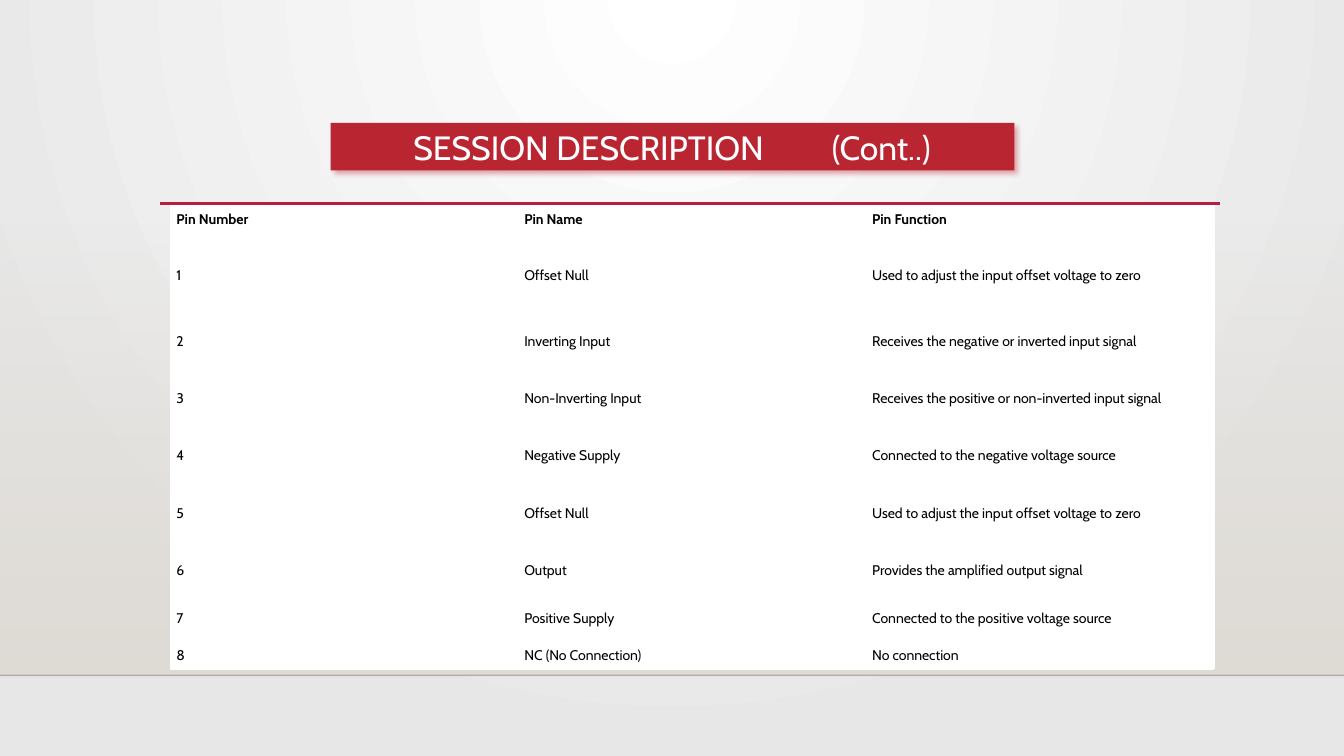
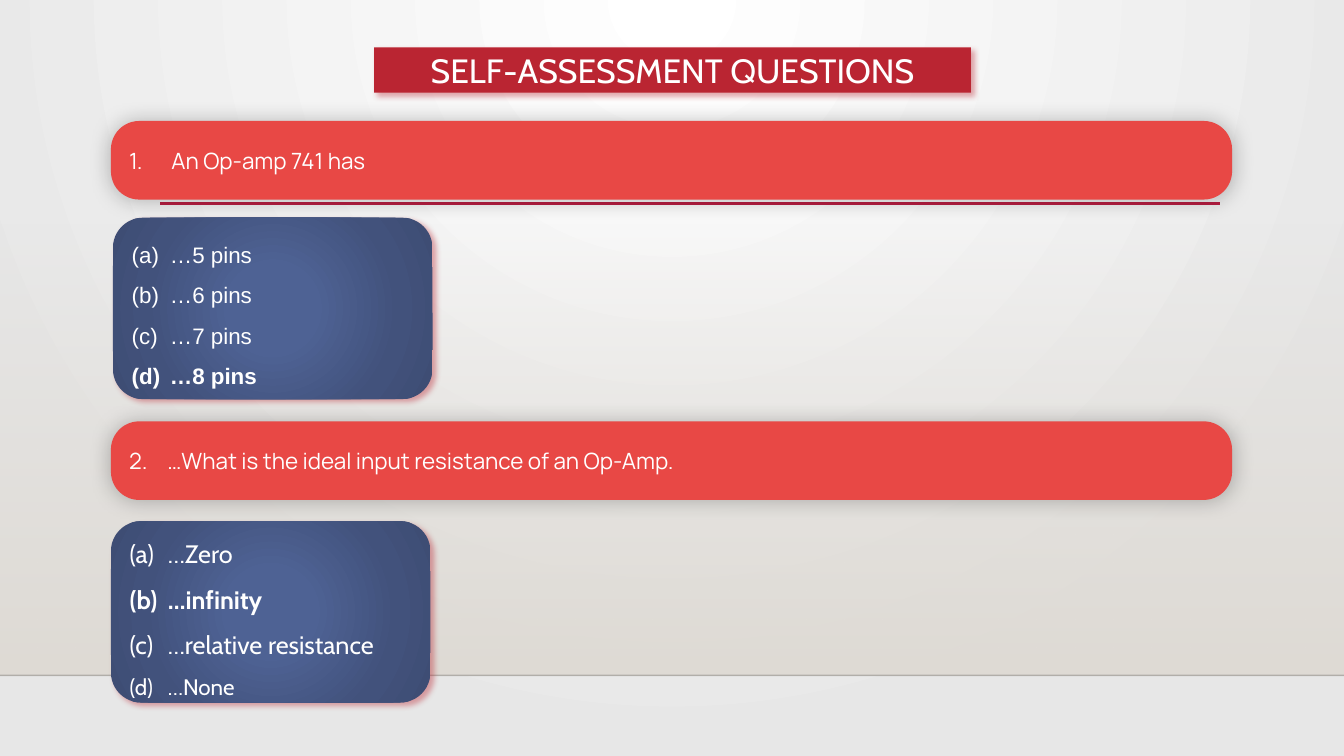
"""Builds an op-amp pin table slide and a self-assessment slide."""
from itertools import count

from lxml import etree
from pptx import Presentation
from pptx.dml.color import RGBColor
from pptx.enum import shapes, text
from pptx.oxml.ns import nsdecls, qn
from pptx.util import Inches, Pt

WHITE = RGBColor(0xFF, 0xFF, 0xFF)
BLACK = RGBColor(0x00, 0x00, 0x00)
SILVER = RGBColor(0xE7, 0xE7, 0xE7)
SAND = RGBColor(0xDF, 0xDB, 0xD5)
FLOOR = RGBColor(0x00, 0x00, 0x01)
RULE = RGBColor(0xB7, 0x1E, 0x42)
CRIMSON = RGBColor(0xBA, 0x25, 0x32)
CORAL = RGBColor(0xE8, 0x48, 0x45)
BLUE = RGBColor(0x4E, 0x62, 0x94)
STEEL = RGBColor(0x42, 0x52, 0x7C)
NAVY = RGBColor(0x3E, 0x4D, 0x74)

SLIDE_WIDTH, SLIDE_HEIGHT = 13.33, 7.5
FLOOR_TOP = 6.7
RED_SHADOW = (CRIMSON, 40, 4, 3, 45)
GREY_SHADOW = (BLACK, 25, 15, 0, 0)
BACKDROP_STOPS = [(0, WHITE, 100), (100, SILVER, 100)]
BAND_STOPS = [(0, SAND, 0), (100, SAND, 100)]
ANSWER_STOPS = [(0, BLUE, 100), (23, BLUE, 100), (69, STEEL, 100), (97, NAVY, 100)]

TITLE_FONT = {"name": "Cabin", "size": Pt(24), "bold": False}
CELL_FONT = {"name": "Cabin", "size": Pt(10)}
QUESTION_FONT = {"name": "Manrope", "size": Pt(16), "bold": False}
CELL_FORMAT = {"vertical_anchor": text.MSO_ANCHOR.MIDDLE,
               "margin_left": Inches(0.06), "margin_right": Inches(0.06),
               "margin_top": Inches(0.03), "margin_bottom": Inches(0.03)}
FRAME_FORMAT = {"word_wrap": True, "auto_size": text.MSO_AUTO_SIZE.NONE,
                "vertical_anchor": text.MSO_ANCHOR.MIDDLE,
                "margin_left": Inches(0.1), "margin_right": Inches(0.1),
                "margin_top": Inches(0.05), "margin_bottom": Inches(0.05)}

PIN_TITLE = "SESSION DESCRIPTION\t(Cont..)"
PIN_TITLE_BOX = (3.28, 1.22, 6.78, 0.47)
PIN_TITLE_START, PIN_TITLE_TAB = 0.82, 4.15
PIN_ROWS = [
    ("Pin Number", "Pin Name", "Pin Function"),
    ("1", "Offset Null", "Used to adjust the input offset voltage to zero"),
    ("2", "Inverting Input", "Receives the negative or inverted input signal"),
    ("3", "Non-Inverting Input", "Receives the positive or non-inverted input signal"),
    ("4", "Negative Supply", "Connected to the negative voltage source"),
    ("5", "Offset Null", "Used to adjust the input offset voltage to zero"),
    ("6", "Output", "Provides the amplified output signal"),
    ("7", "Positive Supply", "Connected to the positive voltage source"),
    ("8", "NC (No Connection)", "No connection"),
]
ROW_HEIGHTS = [0.27, 0.84, 0.47, 0.67, 0.47, 0.67, 0.47, 0.47, 0.27]
TABLE_LEFT, TABLE_TOP, COLUMN_WIDTH = 1.69, 2.04, 3.45

QUIZ_TITLE = "SELF-ASSESSMENT QUESTIONS"
QUIZ_TITLE_BOX = (3.71, 0.47, 5.92, 0.45)
QUESTION_LEFT, QUESTION_SIZE, ANSWER_SIZE = 1.1, (11.12, 0.78), (3.17, 1.8)
QUESTIONS = [
    {"text": "An Op-amp 741 has", "top": 1.2, "indent": 0.42,
     "answer_at": (1.12, 2.16), "font": "Arial", "correct": 3,
     "answers": [("…5 pins", 16), ("…6 pins", 16), ("…7 pins", 16), ("…8 pins", 16)]},
    {"text": "…What is the ideal input resistance of an Op-Amp.", "top": 4.18, "indent": 0.38,
     "answer_at": (1.1, 5.17), "font": "Cabin", "correct": 1,
     "answers": [("…Zero", 18), ("…infinity", 18), ("…relative resistance", 18), ("…None", 16)]},
]


def set_values(target, values):
    """Set attributes from a dict."""
    for name, value in values.items():
        setattr(target, name, value)


def set_font(font, values, color):
    """Format a font and colour it."""
    set_values(font, values)
    font.color.rgb = color


def add_child(parent, tag, **attributes):
    """Append a drawing element with attributes."""
    child = etree.SubElement(parent, qn(tag))
    for name, value in attributes.items():
        child.set(name, str(value))
    return child


def add_color(parent, color, opacity=100):
    """Append a colour with its opacity in percent."""
    add_child(add_child(parent, "a:srgbClr", val=color), "a:alpha", val=opacity * 1000)


def set_gradient(properties, stops, center=None):
    """Swap the solid fill for a downward or circular gradient."""
    gradient = etree.fromstring(f'<a:gradFill {nsdecls("a")} rotWithShape="1"/>')
    stop_list = add_child(gradient, "a:gsLst")
    for position, color, opacity in stops:
        add_color(add_child(stop_list, "a:gs", pos=position * 1000), color, opacity)
    if center:
        circle = add_child(gradient, "a:path", path="circle")
        edges = {side: share * 1000 for side, share in zip("ltrb", center)}
        add_child(circle, "a:fillToRect", **edges)
    else:
        add_child(gradient, "a:lin", ang=90 * 60000, scaled=0)
    properties.replace(properties.find(qn("a:solidFill")), gradient)


def set_surface(shape, color, shadow=None):
    """Give a shape a plain fill, no outline and an optional shadow."""
    shape.fill.solid()
    shape.fill.fore_color.rgb = color
    shape.line.fill.background()
    shape.shadow.inherit = False
    if shadow:
        shadow_color, opacity, blur, distance, angle = shadow
        effects = shape.element.spPr.find(qn("a:effectLst"))
        outer = add_child(effects, "a:outerShdw", blurRad=Pt(blur), dist=Pt(distance),
                          dir=angle * 60000, algn="ctr", rotWithShape=0)
        add_color(outer, shadow_color, opacity)


def add_box(slide, kind, box, color, shadow=None):
    """Add a filled preset shape."""
    shape = slide.shapes.add_shape(kind, *map(Inches, box))
    set_surface(shape, color, shadow)
    return shape


def add_rule(slide, left, right, top, color, width, opacity=100):
    """Add a horizontal line."""
    line = slide.shapes.add_connector(shapes.MSO_CONNECTOR.STRAIGHT,
                                      *map(Inches, (left, top, right, top)))
    line.line.color.rgb = color
    line.line.width = Pt(width)
    for color_element in line.element.spPr.iter(qn("a:srgbClr")):
        add_child(color_element, "a:alpha", val=opacity * 1000)
    add_child(line.element.spPr, "a:effectLst")
    return line


def style_master(presentation, slide):
    """Put the backdrop, floor band and rules on the slide master."""
    master = presentation.slide_master
    master.background.fill.solid()
    master.background.fill.fore_color.rgb = WHITE
    set_gradient(next(master.element.iter(qn("p:bgPr"))), BACKDROP_STOPS, (43, 0, 43, 100))
    band = add_box(slide, shapes.MSO_SHAPE.RECTANGLE,
                   (0, 2.21, SLIDE_WIDTH, FLOOR_TOP - 2.21), SAND)
    set_gradient(band.element.spPr, BAND_STOPS)
    floor_line = add_rule(slide, 0, SLIDE_WIDTH, FLOOR_TOP, FLOOR, 1, 20)
    title_rule = add_rule(slide, 1.59, 12.1, 2.02, RULE, 2.5)
    for part, number in zip((band, floor_line, title_rule), count(101)):
        next(part.element.iter(qn("p:cNvPr"))).set("id", str(number))
        master.shapes.element.append(part.element)


def set_title(slide, wording, box):
    """Shape the title placeholder as a red banner."""
    title = slide.shapes.title
    set_values(title, dict(zip(("left", "top", "width", "height"), map(Inches, box))))
    geometry = add_child(title.element.spPr, "a:prstGeom", prst="roundRect")
    add_child(geometry, "a:avLst")
    set_surface(title, CRIMSON, RED_SHADOW)
    set_values(title.text_frame, FRAME_FORMAT)
    title.text_frame.text = wording
    paragraph = title.text_frame.paragraphs[0]
    paragraph.alignment = text.PP_ALIGN.CENTER
    if "\t" in wording:
        paragraph.alignment = text.PP_ALIGN.LEFT
        title.text_frame.margin_left = Inches(PIN_TITLE_START)
        tabs = add_child(paragraph._p.get_or_add_pPr(), "a:tabLst")
        add_child(tabs, "a:tab", pos=Inches(PIN_TITLE_TAB), algn="l")
    set_font(paragraph.font, TITLE_FONT, WHITE)
    for run in paragraph.runs:
        set_font(run.font, TITLE_FONT, WHITE)


def add_numbered(paragraph, wording, font, scheme, start, indent=0.38, spacing=1):
    """Fill a paragraph as an automatically numbered item."""
    paragraph.alignment = text.PP_ALIGN.LEFT
    paragraph.line_spacing = spacing
    properties = paragraph._p.get_or_add_pPr()
    properties.set("marL", str(Inches(indent)))
    properties.set("indent", str(-Inches(indent)))
    add_child(properties, "a:buFont", typeface="+mj-lt")
    add_child(properties, "a:buAutoNum", type=scheme, startAt=start)
    run = paragraph.add_run()
    run.text = wording
    set_font(run.font, font, WHITE)


def add_pin_table(slide):
    """Add the pin table with white cells and borders."""
    table = slide.shapes.add_table(
        len(PIN_ROWS), len(PIN_ROWS[0]), Inches(TABLE_LEFT), Inches(TABLE_TOP),
        Inches(COLUMN_WIDTH * len(PIN_ROWS[0])), Inches(sum(ROW_HEIGHTS))).table
    set_values(table, {"first_row": False, "horz_banding": False})
    for column in table.columns:
        column.width = Inches(COLUMN_WIDTH)
    for row_index, (row, height) in enumerate(zip(PIN_ROWS, ROW_HEIGHTS)):
        table.rows[row_index].height = Inches(height)
        for column_index, wording in enumerate(row):
            cell = table.cell(row_index, column_index)
            cell.text = wording
            set_values(cell, CELL_FORMAT)
            font = cell.text_frame.paragraphs[0].runs[0].font
            set_font(font, {**CELL_FONT, "bold": row_index == 0}, BLACK)
            properties = cell._tc.get_or_add_tcPr()
            for side in "LRTB":
                border = add_child(properties, f"a:ln{side}", w=Pt(0.75))
                add_color(add_child(border, "a:solidFill"), WHITE)
            cell.fill.solid()
            cell.fill.fore_color.rgb = WHITE


def add_question(slide, number, question):
    """Add one question bar and its answer box."""
    bar = add_box(slide, shapes.MSO_SHAPE.ROUNDED_RECTANGLE,
                  (QUESTION_LEFT, question["top"], *QUESTION_SIZE), CORAL, GREY_SHADOW)
    bar.adjustments[0] = 0.36
    set_values(bar.text_frame, FRAME_FORMAT)
    add_numbered(bar.text_frame.paragraphs[0], question["text"], QUESTION_FONT,
                 "arabicPeriod", number, question["indent"])

    box = add_box(slide, shapes.MSO_SHAPE.ROUNDED_RECTANGLE,
                  (*question["answer_at"], *ANSWER_SIZE), BLUE, RED_SHADOW)
    set_gradient(box.element.spPr, ANSWER_STOPS, (50, 50, 50, 50))
    frame = box.text_frame
    set_values(frame, FRAME_FORMAT)
    for index, (wording, size) in enumerate(question["answers"]):
        paragraph = frame.add_paragraph() if index else frame.paragraphs[0]
        font = {"name": question["font"], "size": Pt(size),
                "bold": index == question["correct"]}
        add_numbered(paragraph, wording, font, "alphaLcParenBoth", 1, spacing=1.5)


def main():
    """Build and save the presentation."""
    presentation = Presentation()
    presentation.slide_width = Inches(SLIDE_WIDTH)
    presentation.slide_height = Inches(SLIDE_HEIGHT)
    layout = presentation.slide_layouts.get_by_name("Title Only")

    pin_slide = presentation.slides.add_slide(layout)
    style_master(presentation, pin_slide)
    set_title(pin_slide, PIN_TITLE, PIN_TITLE_BOX)
    add_pin_table(pin_slide)

    quiz_slide = presentation.slides.add_slide(layout)
    set_title(quiz_slide, QUIZ_TITLE, QUIZ_TITLE_BOX)
    for number, question in enumerate(QUESTIONS, 1):
        add_question(quiz_slide, number, question)

    presentation.save("out.pptx")


if __name__ == "__main__":
    main()
